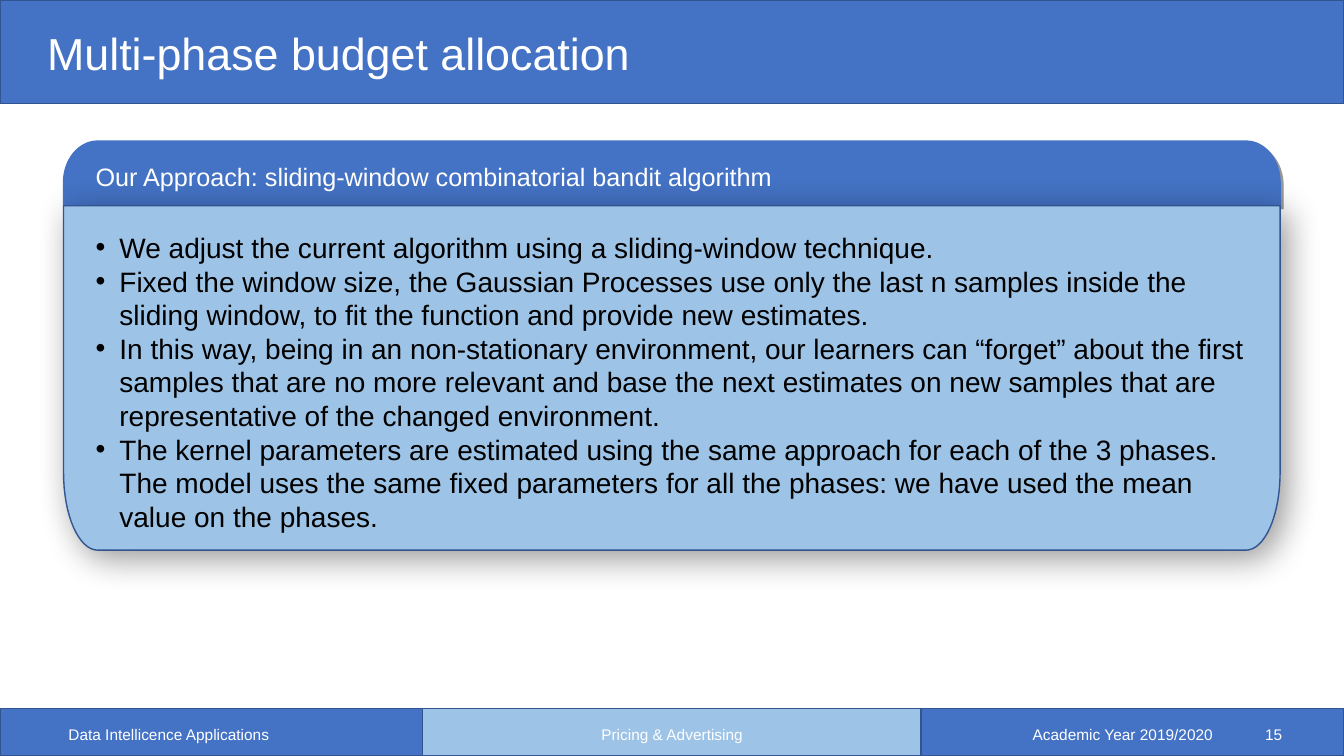
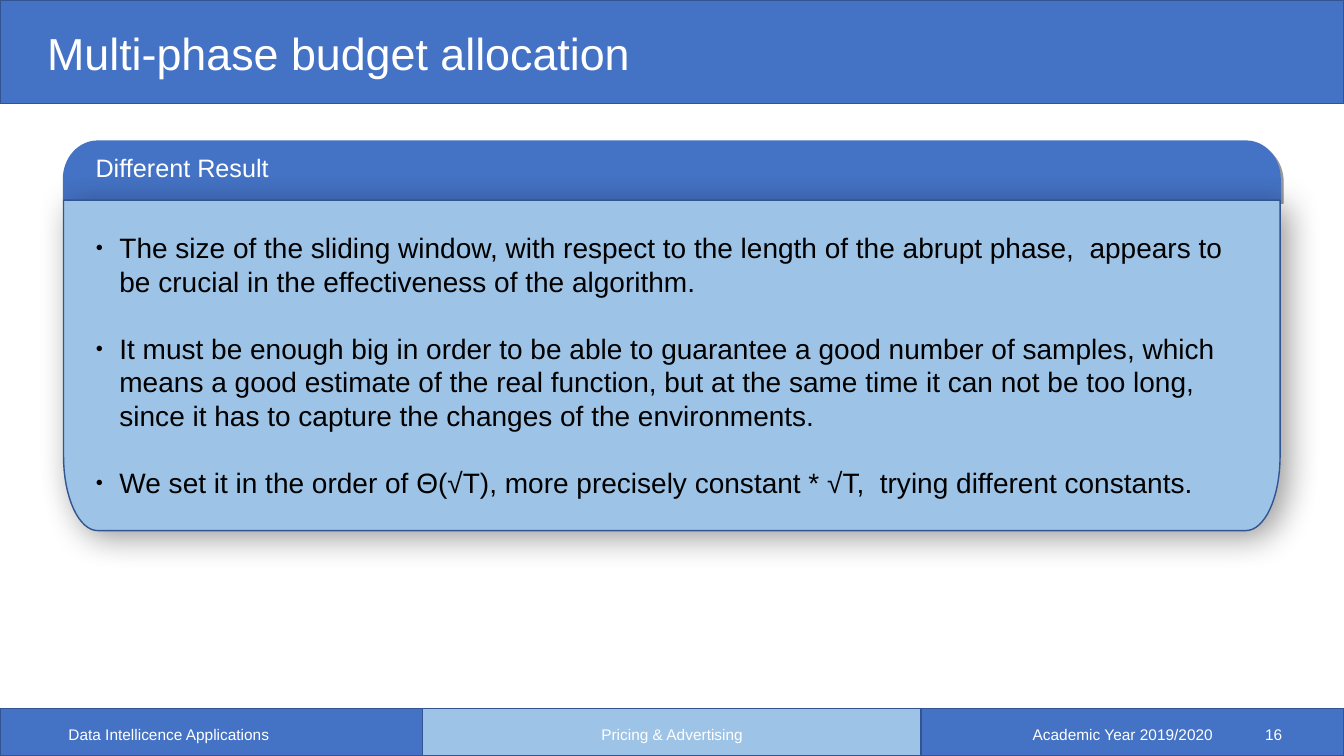
from math import cos, pi, sin

from lxml import etree
from pptx import Presentation
from pptx.dml.color import RGBColor
from pptx.enum.shapes import MSO_SHAPE
from pptx.enum.text import MSO_ANCHOR, PP_ALIGN
from pptx.oxml.ns import qn
from pptx.util import Pt

RECTANGLE = MSO_SHAPE.RECTANGLE
TOP, MIDDLE = MSO_ANCHOR.TOP, MSO_ANCHOR.MIDDLE
LEFT, CENTER, RIGHT = PP_ALIGN.LEFT, PP_ALIGN.CENTER, PP_ALIGN.RIGHT

WIDTH, HEIGHT = 960, 540
BLANK_LAYOUT = 6
PANEL_LEFT, PANEL_RIGHT, PANEL_TOP = 45.4, 914.4, 100.8
CORNER_WIDTH, ARC_STEPS = 24.4, 16


def color(value):
    return RGBColor.from_string(value)


def add_element(parent, tag, **attributes):
    element = etree.SubElement(parent, qn(tag))
    for name, value in attributes.items():
        element.set(name, str(value))
    return element


class Deck:
    FONT = "Arial"
    BLUE, LIGHT_BLUE, EDGE = "4472C4", "9DC3E6", "325491"
    WHITE, BLACK = "FFFFFF", "000000"

    def __init__(self):
        self.presentation = Presentation()
        self.presentation.slide_width = Pt(WIDTH)
        self.presentation.slide_height = Pt(HEIGHT)
        self.slide = None

    def new_slide(self, title, number):
        layout = self.presentation.slide_layouts[BLANK_LAYOUT]
        self.slide = self.presentation.slides.add_slide(layout)
        self.band(0, 506, WIDTH, 34, self.BLUE)
        self.band(302, 506, 356, 34, self.LIGHT_BLUE)
        self.band(0, 0, WIDTH, 74, self.BLUE)
        self.text(26.6, 17.3, 828, 46, title, 32, anchor=MIDDLE, line_spacing=0.9)
        footers = (
            (41.8, 216, "Data Intellicence Applications", LEFT),
            (318.2, 324, "Pricing & Advertising", CENTER),
            (673.6, 200, "Academic Year 2019/2020", RIGHT),
            (873, 50, str(number), RIGHT),
        )
        for left, width, words, alignment in footers:
            self.text(left, 515, width, 19, words, 11, alignment, MIDDLE)

    def paint(self, shape, fill, line):
        shape.shadow.inherit = False
        shape.fill.solid()
        shape.fill.fore_color.rgb = color(fill)
        shape.line.color.rgb = color(line)
        shape.line.width = Pt(1)

    def band(self, left, top, width, height, fill):
        shape = self.slide.shapes.add_shape(
            RECTANGLE, Pt(left), Pt(top), Pt(width), Pt(height))
        self.paint(shape, fill, self.EDGE)

    def shadow(self, shape, blur, distance):
        effects = shape._element.spPr.find(qn("a:effectLst"))
        outer = add_element(effects, "a:outerShdw", blurRad=Pt(blur), dist=Pt(distance),
                            dir=45 * 60000, algn="tl", rotWithShape=0)
        shade = add_element(outer, "a:srgbClr", val=self.BLACK)
        add_element(shade, "a:alpha", val=40000)

    def half_rounded(self, flat_y, round_y, corner_ratio, fill, line, blur, distance):
        corner_height = (round_y - flat_y) * corner_ratio
        angles = [pi / 2 * step / ARC_STEPS for step in range(ARC_STEPS + 1)]
        arc = [(CORNER_WIDTH * (1 - cos(angle)),
                round_y - corner_height * (1 - sin(angle))) for angle in angles]
        points = [(PANEL_RIGHT, flat_y)]
        points += [(PANEL_RIGHT - inset, y) for inset, y in arc]
        points += [(PANEL_LEFT + inset, y) for inset, y in reversed(arc)]
        builder = self.slide.shapes.build_freeform(Pt(PANEL_LEFT), Pt(flat_y))
        builder.add_line_segments([(Pt(x), Pt(y)) for x, y in points], close=True)
        shape = builder.convert_to_shape()
        self.paint(shape, fill, line)
        self.shadow(shape, blur, distance)

    def panel(self, split, bottom):
        self.half_rounded(split, PANEL_TOP, 0.64, self.BLUE, self.BLUE, 0, 3)
        self.half_rounded(split, bottom, 0.225, self.LIGHT_BLUE, self.EDGE, 24, 7)

    def text_frame(self, left, top, width, height, anchor=TOP):
        box = self.slide.shapes.add_textbox(Pt(left), Pt(top), Pt(width), Pt(height))
        frame = box.text_frame
        frame.word_wrap = True
        frame.vertical_anchor = anchor
        return frame

    def run(self, paragraph, words, size, ink):
        run = paragraph.add_run()
        run.text = words
        run.font.name = self.FONT
        run.font.size = Pt(size)
        run.font.color.rgb = color(ink)

    def text(self, left, top, width, height, words, size,
             alignment=LEFT, anchor=TOP, line_spacing=1.0):
        frame = self.text_frame(left, top, width, height, anchor)
        paragraph = frame.paragraphs[0]
        paragraph.alignment = alignment
        paragraph.line_spacing = line_spacing
        self.run(paragraph, words, size, self.WHITE)

    def bullets(self, items, symbol, percent, gap):
        frame = self.text_frame(61.2, 161, 838, 218)
        for index, words in enumerate(items):
            paragraph = frame.paragraphs[0] if index == 0 else frame.add_paragraph()
            paragraph.line_spacing = Pt(24)
            paragraph.space_before = Pt(gap if index else 0)
            properties = paragraph._p.get_or_add_pPr()
            properties.set("marL", str(Pt(17)))
            properties.set("indent", str(Pt(-17)))
            tint = add_element(properties, "a:buClr")
            add_element(tint, "a:srgbClr", val=self.BLACK)
            add_element(properties, "a:buSzPct", val=percent * 1000)
            add_element(properties, "a:buFont", typeface=self.FONT)
            add_element(properties, "a:buChar", char=symbol)
            self.run(paragraph, words, 20, self.BLACK)


def main():
    deck = Deck()
    title = "Multi-phase budget allocation"

    deck.new_slide(title, 15)
    deck.panel(split=147, bottom=393)
    deck.bullets((
        "We adjust the current algorithm using a sliding-window technique.",
        "Fixed the window size, the Gaussian Processes use only the last n samples "
        "inside the sliding window, to fit the function and provide new estimates.",
        "In this way, being in an non-stationary environment, our learners can “forget” "
        "about the first samples that are no more relevant and base the next estimates "
        "on new samples that are representative of the changed environment.",
        "The kernel parameters are estimated using the same approach for each of the "
        "3 phases. The model uses the same fixed parameters for all the phases: we have "
        "used the mean value on the phases.",
    ), "•", 100, gap=0)
    deck.text(61.2, 111.6, 825, 38,
              "Our Approach: sliding-window combinatorial bandit algorithm", 18)

    deck.new_slide(title, 16)
    deck.panel(split=143, bottom=379)
    deck.bullets((
        "The size of the sliding window, with respect to the length of the abrupt "
        "phase,  appears to be crucial in the effectiveness of the algorithm.",
        "It must be enough big in order to be able to guarantee a good number of "
        "samples, which means a good estimate of the real function, but at the same "
        "time it can not be too long, since it has to capture the changes of the "
        "environments.",
        "We set it in the order of Θ(√T), more precisely constant * √T,  trying "
        "different constants.",
    ), "●", 45, gap=24)
    deck.text(61.2, 105, 560, 38, "Different Result", 18)

    deck.presentation.save("out.pptx")


if __name__ == "__main__":
    main()
